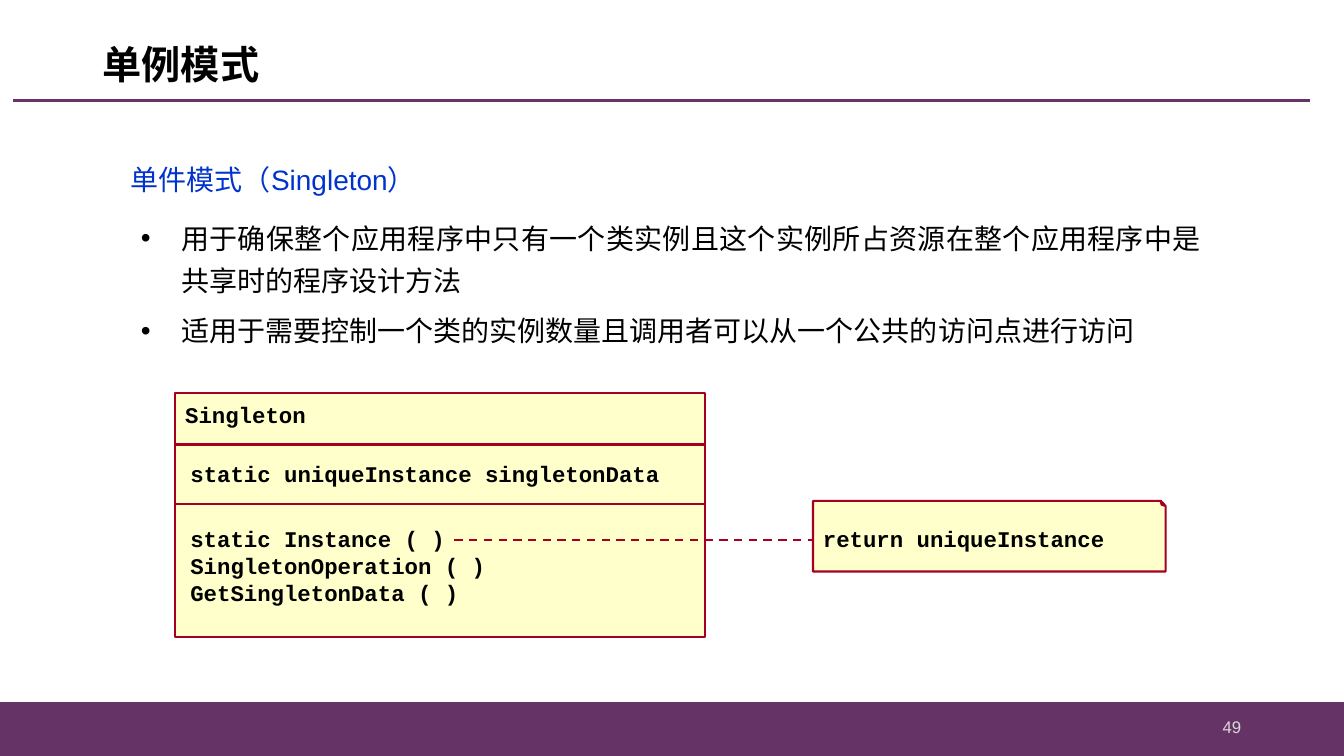
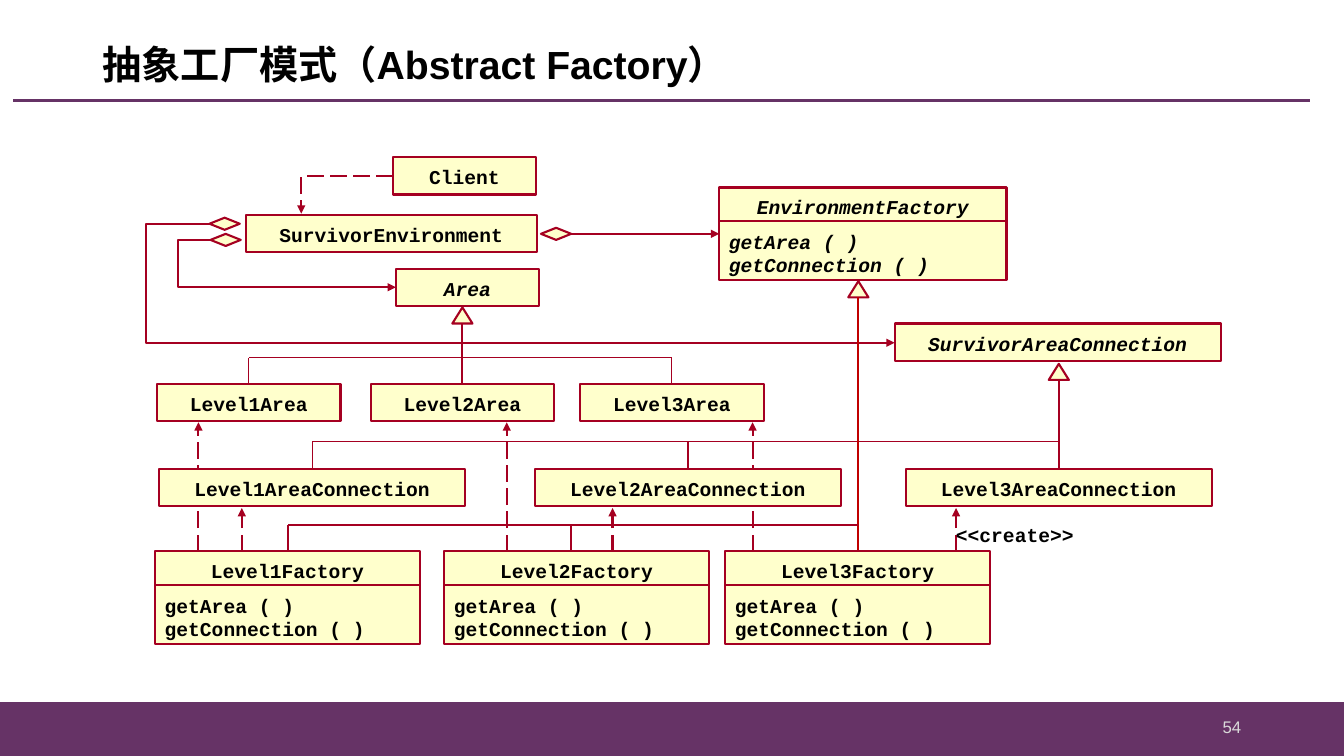
from dataclasses import dataclass

from lxml import etree
from pptx import Presentation
from pptx import util as u
from pptx.dml.color import RGBColor
from pptx.enum import dml, shapes, text
from pptx.oxml.ns import qn

CELL = 0.1  # side of a grid cell in inches
COLS, ROWS = 133.4, 75
KIND = shapes.MSO_SHAPE
LINK = shapes.MSO_CONNECTOR
ALIGN = text.PP_ALIGN
MID = text.MSO_ANCHOR.MIDDLE
DASH = dml.MSO_LINE.DASH
LONG = dml.MSO_LINE.LONG_DASH
PAD = (1, 0.5, 1, 0.5)
TIGHT = (0, 0.1, 0, 0.5)


@dataclass(frozen=True)
class Theme:
    plum: str = "663366"
    wine: str = "A50021"
    red: str = "C00000"
    cream: str = "FFFFCC"
    blue: str = "0033CC"
    ink: str = "000000"
    pale: str = "D9D9D9"
    sans: str = "Arial"
    head: str = "Calibri"
    mono: str = "Courier New"
    big: int = 28
    body: int = 20
    code: int = 16
    small: int = 14
    foot: int = 12
    thin: float = 0.75
    edge: float = 1.5
    rule: float = 2.25


def cells(*sizes):
    return [u.Inches(size * CELL) for size in sizes]


def sub(node, tag, **attrs):
    return etree.SubElement(node, qn(tag), **attrs)


def adjust(props, preset, name, share):
    """Set the preset outline and its one adjustment, given as a share."""
    geom = props.find(qn("a:prstGeom"))
    geom.set("prst", preset)
    for old in geom.findall(qn("a:avLst")):
        geom.remove(old)
    sub(sub(geom, "a:avLst"), "a:gd", name=name, fmla=f"val {round(share * 100000)}")


class Deck:
    def __init__(self, theme):
        self.theme = theme
        self.file = Presentation()
        self.file.slide_width, self.file.slide_height = cells(COLS, ROWS)
        self.slide = None

    def page(self, title, number, face):
        """Start a slide with its band, rule, title and page number."""
        t = self.theme
        self.slide = self.file.slides.add_slide(self.file.slide_layouts[5])
        self.shape(KIND.RECTANGLE, 0, 69.7, COLS, 5.3, t.plum, t.plum, 1)
        self.line((1.3, 10), (130, 10), t.plum, t.rule)
        head = self.slide.shapes.title
        head.left, head.top, head.width, head.height = cells(9.2, 3, 115, 7.3)
        self.fill(head, [title], t.big, face, bold=True, space=0.9, anchor=MID)
        self.label(94.2, 70.1, 30, 4, [str(number)], t.foot, t.sans, t.pale,
                   bold=False, align=ALIGN.RIGHT, anchor=MID)

    def fill(self, shape, lines, size, face, color=None, bold=True, slant=False,
             align=ALIGN.LEFT, space=1.0, anchor=text.MSO_ANCHOR.TOP, pad=PAD):
        frame = shape.text_frame
        frame.word_wrap = True
        frame.auto_size = text.MSO_AUTO_SIZE.NONE
        frame.vertical_anchor = anchor
        (frame.margin_left, frame.margin_top,
         frame.margin_right, frame.margin_bottom) = cells(*pad)
        for i, words in enumerate(lines):
            para = frame.add_paragraph() if i else frame.paragraphs[0]
            para.alignment, para.line_spacing = align, space
            self.run(para, words, size, face, color, bold, slant)

    def run(self, para, words, size, face, color=None, bold=False, slant=False):
        run = para.add_run()
        run.text = words
        font = run.font
        font.size, font.name = u.Pt(size), face
        font.bold, font.italic = bold, slant
        font.color.rgb = RGBColor.from_string(color or self.theme.ink)

    def label(self, x, y, w, h, lines, size, face, color=None, **style):
        box = self.slide.shapes.add_textbox(*cells(x, y, w, h))
        self.fill(box, lines, size, face, color, **style)

    def list(self, x, y, w, h, lead, points):
        """Write a coloured lead line with bullet points below it."""
        t = self.theme
        frame = self.slide.shapes.add_textbox(*cells(x, y, w, h)).text_frame
        frame.word_wrap = True
        for i, words in enumerate([lead, *points]):
            para = frame.add_paragraph() if i else frame.paragraphs[0]
            para.alignment, para.line_spacing = ALIGN.JUSTIFY, 1.25
            if i:
                para.space_before = u.Pt(12 if i == 1 else 6)
            props = para._p.get_or_add_pPr()
            left, hang = cells(5, -4) if i else cells(3.8, -3.8)
            props.set("marL", str(left))
            props.set("indent", str(hang))
            if i:
                sub(props, "a:buFont", typeface=t.sans)
                sub(props, "a:buChar", char="•")
            self.run(para, words, t.body, t.sans, None if i else t.blue)

    def shape(self, kind, x, y, w, h, fill=None, color=None, width=None):
        t = self.theme
        shape = self.slide.shapes.add_shape(kind, *cells(x, y, w, h))
        shape.shadow.inherit = False
        shape.fill.solid()
        shape.fill.fore_color.rgb = RGBColor.from_string(fill or t.cream)
        shape.line.color.rgb = RGBColor.from_string(color or t.wine)
        shape.line.width = u.Pt(width or t.edge)
        return shape

    def box(self, x, y, w, h, name, size=None, **style):
        style = {"align": ALIGN.CENTER, "space": 1.1, "anchor": MID} | style
        shape = self.shape(KIND.RECTANGLE, x, y, w, h)
        self.fill(shape, [name], size or self.theme.small, self.theme.mono, **style)

    def card(self, x, y, w, name, slant=False):
        """Draw a factory class with its two operations."""
        t = self.theme
        self.box(x, y, w, 9.2, name, slant=slant, anchor=text.MSO_ANCHOR.TOP)
        self.line((x, y + 3.35), (x + w, y + 3.35))
        self.label(x + 0.95, y + 4.1, w - 2, 4.6, ["getArea ( )", "getConnection ( )"],
                   t.small, t.mono, slant=slant, pad=TIGHT)

    def note(self, x, y, w, h, words):
        """Draw a note whose folded corner is at the top right."""
        shape = self.shape(KIND.FOLDED_CORNER, x, y, w, h)
        props = shape.element.spPr
        adjust(props, "foldedCorner", "adj", 0.07)
        props.find(qn("a:xfrm")).set("flipV", "1")
        self.fill(shape, [words], self.theme.code, self.theme.mono, anchor=MID)
        shape.element.txBody.find(qn("a:bodyPr")).set("rot", "10800000")

    def line(self, start, end, color=None, width=None, dash=None, tip=False, bend=None):
        """Join two points; bend is the column where an elbow turns."""
        t = self.theme
        kind = LINK.STRAIGHT if bend is None else LINK.ELBOW
        link = self.slide.shapes.add_connector(kind, *cells(*start, *end))
        link.line.color.rgb = RGBColor.from_string(color or t.wine)
        link.line.width = u.Pt(width or t.edge)
        if dash:
            link.line.dash_style = dash
        props = link.element.spPr
        if tip:
            sub(props.find(qn("a:ln")), "a:tailEnd", type="triangle")
        if bend is not None:
            turn = (bend - start[0]) / (end[0] - start[0])
            adjust(props, "bentConnector3", "adj1", turn)
        sub(props, "a:effectLst")

    def gem(self, x, y):
        self.shape(KIND.FLOWCHART_DECISION, x, y, 3, 1.2)

    def tree(self, x, top, foot, bar, ends, mids=(), width=None, color=None):
        """Join child classes to the parent's triangle by a level bar."""
        self.shape(KIND.ISOSCELES_TRIANGLE, x - 1, top, 2, 1.6)
        self.line((x, top + 1.6), (x, foot), color)
        self.line((ends[0], bar), (ends[-1], bar), width=width)
        for end in ends:
            if end != x:
                self.line((end, bar), (end, foot), width=width)
        for mid in mids:
            self.line((mid, bar), (mid, foot))


def single(deck):
    t = deck.theme
    deck.page("单例模式", 49, t.head)
    deck.list(12, 14.8, 108.2, 20.2, "单件模式（Singleton）", [
        "用于确保整个应用程序中只有一个类实例且这个实例所占资源在整个应用程序中是共享时的程序设计方法",
        "适用于需要控制一个类的实例数量且调用者可以从一个公共的访问点进行访问"])
    deck.box(17.4, 39, 52.6, 24.2, "Singleton", t.code,
             align=ALIGN.LEFT, anchor=text.MSO_ANCHOR.TOP)
    for y in (44.1, 50):
        deck.line((17.4, y), (70, y))
    deck.label(18.9, 45.6, 48.9, 4.7, ["static uniqueInstance singletonData"],
               t.code, t.mono, pad=TIGHT)
    deck.label(18.9, 52, 50, 9.8,
               ["static Instance ( )", "SingletonOperation ( )", "GetSingletonData ( )"],
               t.code, t.mono, pad=TIGHT)
    deck.line((45.1, 53.6), (80.6, 53.6), dash=DASH)
    deck.note(80.7, 49.7, 35, 7, "return uniqueInstance")


def plant(deck):
    t = deck.theme
    deck.page("抽象工厂模式（Abstract Factory）", 54, t.sans)
    area, join, make, high = 38.1, 46.5, 54.7, 3.7

    deck.line((39, 17.5), (29.9, 21.2), dash=LONG, tip=True, bend=29.9)
    deck.line((20.9, 23.8), (39.3, 28.5), tip=True, bend=17.7)
    deck.line((20.8, 22.2), (88.8, 34), tip=True, bend=14.5)
    deck.line((56.7, 23.2), (71.4, 23.2), tip=True)
    for x, y in ((20.8, 21.6), (20.9, 23.2), (53.7, 22.6)):
        deck.gem(x, y)

    deck.tree(45.9, 30.5, area, 35.5, (24.7, 66.7), width=t.thin)
    deck.tree(105.1, 36.1, join, 43.8, (31, 105.1), (68.3,), t.thin)
    deck.tree(85.2, 27.9, make, 52.1, (28.6, 85.2), (56.7,), color=t.red)
    for x in (19.7, 50.3, 74.7):
        deck.line((x, make), (x, area + high + 0.1), dash=LONG, tip=True)
    for x in (24, 60.8, 94.9):
        deck.line((x, make), (x, join + high + 0.2), dash=LONG, tip=True)

    deck.box(39, 15.6, 14.2, high, "Client")
    deck.box(24.4, 21.3, 28.9, high, "SurvivorEnvironment")
    deck.box(39.3, 26.7, 14.2, high, "Area", slant=True)
    deck.box(88.8, 32.1, 32.4, high, "SurvivorAreaConnection", slant=True)
    deck.card(71.4, 18.6, 28.5, "EnvironmentFactory", slant=True)
    columns = zip((15.6, 36.8, 57.6), (15.8, 53.1, 89.9), (15.4, 44.1, 72))
    for i, (left, mid, low) in enumerate(columns, 1):
        deck.box(left, area, 18.2, high, f"Level{i}Area")
        deck.box(mid, join, 30.4, high, f"Level{i}AreaConnection")
        deck.card(low, make, 26.3, f"Level{i}Factory")
    deck.label(93.9, 51.4, 17.2, 3.4, ["<<create>>"], t.small, t.mono)


def main():
    deck = Deck(Theme())
    single(deck)
    plant(deck)
    deck.file.save("out.pptx")


if __name__ == "__main__":
    main()
